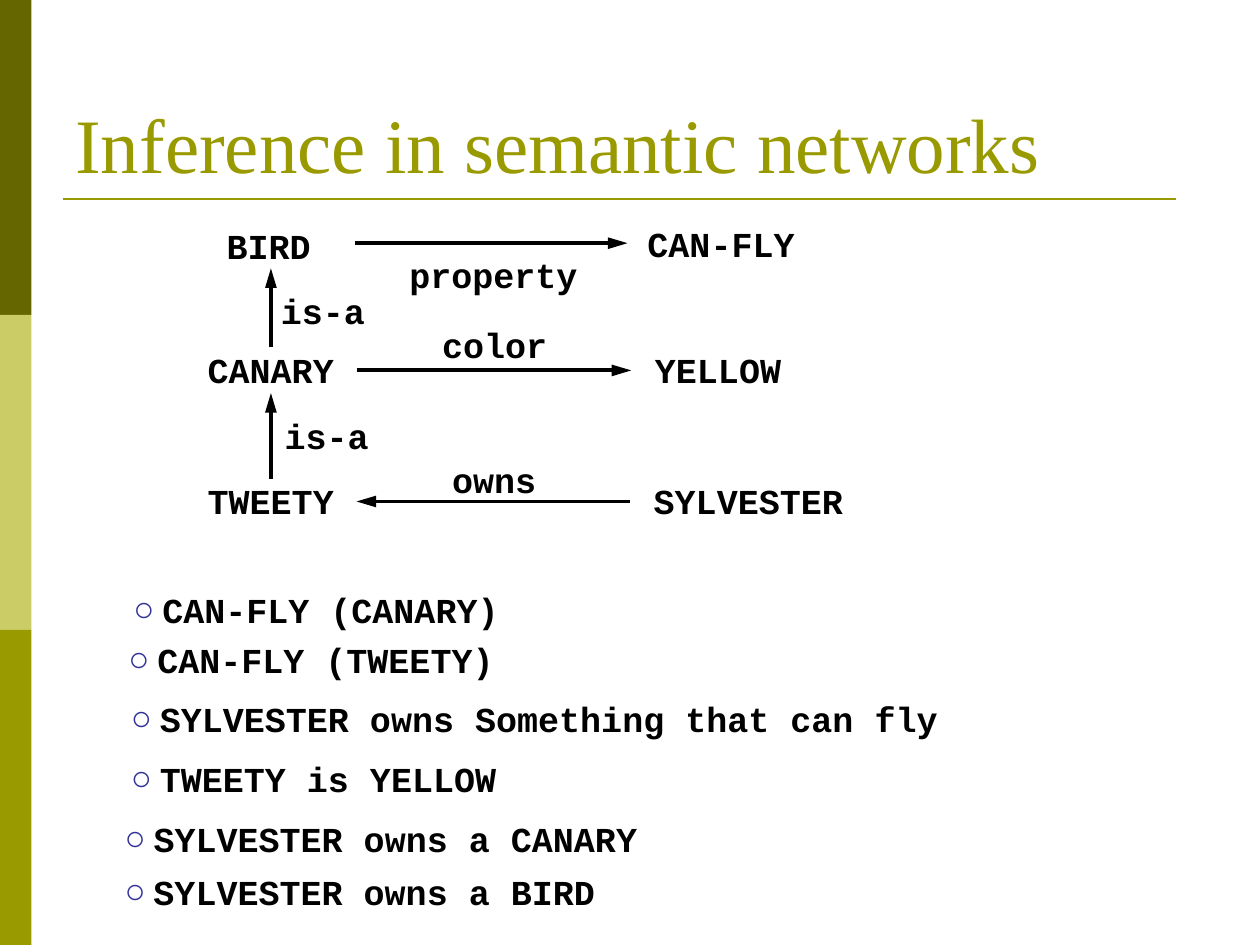
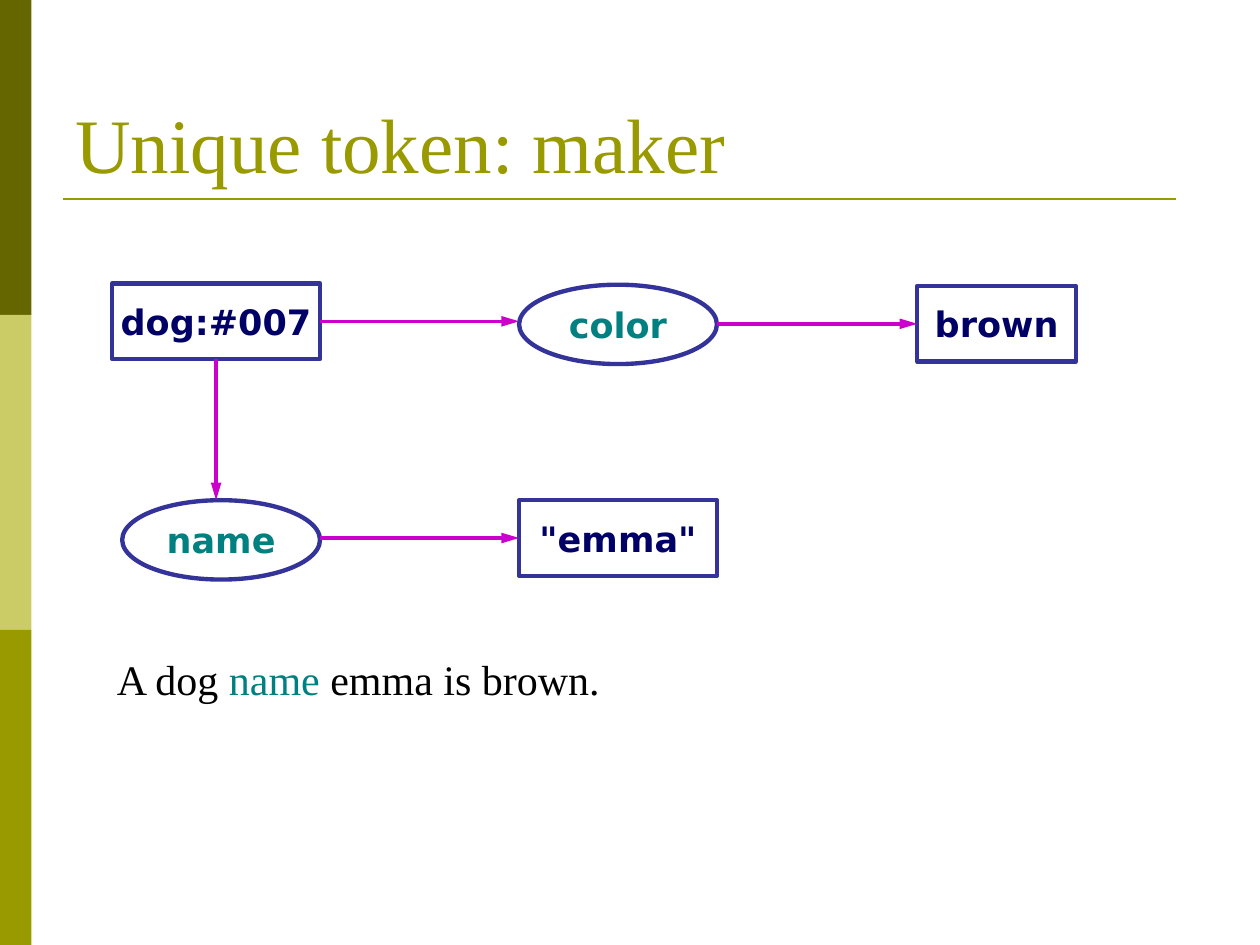
from dataclasses import dataclass

from lxml import etree
from pptx import Presentation
from pptx.dml.color import RGBColor
from pptx.enum.shapes import MSO_CONNECTOR as Connector, MSO_SHAPE as Preset
from pptx.enum.text import MSO_ANCHOR as Anchor, PP_ALIGN as Align
from pptx.oxml.ns import qn
from pptx.util import Inches, Pt

COLORS = {
    "olive": "999900",
    "dark olive": "666600",
    "light olive": "CCCC66",
    "black": "000000",
    "indigo": "333399",
    "navy": "000066",
    "teal": "008080",
    "magenta": "CC00CC",
}
SERIF, MONO, SANS = "Times New Roman", "Courier New", "DejaVu Sans"
BANDS = ("dark olive", "light olive", "olive")
BAND_HEIGHT = 2.5
LABEL_HEIGHT = 0.44
MONO_ADVANCE = 20 * 0.6 / 72  # one 20 pt character, in inches
BULLET_INDENT = 0.23


@dataclass(frozen=True)
class Label:
    text: str
    left: float
    top: float


@dataclass(frozen=True)
class Arrow:
    start: tuple[float, float]
    end: tuple[float, float]


@dataclass(frozen=True)
class Node:
    text: str
    left: float
    top: float
    width: float
    height: float = 0.6
    preset: int = Preset.RECTANGLE
    color: str = "navy"

    @property
    def middle(self) -> float:
        return self.top + self.height / 2

    @property
    def center(self) -> float:
        return self.left + self.width / 2

    @property
    def right(self) -> float:
        return self.left + self.width


NETWORK_LABELS = [
    Label("BIRD", 1.7, 1.73),
    Label("CAN-FLY", 5.04, 1.72),
    Label("property", 3.15, 1.96),
    Label("is-a", 2.13, 2.25),
    Label("CANARY", 1.55, 2.72),
    Label("color", 3.41, 2.52),
    Label("YELLOW", 5.1, 2.72),
    Label("is-a", 2.16, 3.24),
    Label("TWEETY", 1.55, 3.76),
    Label("owns", 3.49, 3.59),
    Label("SYLVESTER", 5.09, 3.76),
]
NETWORK_ARROWS = [
    Arrow((2.82, 1.93), (4.98, 1.93)),
    Arrow((2.83, 2.94), (5.01, 2.94)),
    Arrow((5, 3.98), (2.83, 3.98)),
    Arrow((2.15, 2.75), (2.15, 2.13)),
    Arrow((2.15, 3.8), (2.15, 3.12)),
]
INFERENCES = [
    Label("CAN-FLY (CANARY)", 0.96, 4.62),
    Label("CAN-FLY (TWEETY)", 0.92, 5.02),
    Label("SYLVESTER owns Something that can fly", 0.94, 5.49),
    Label("TWEETY is YELLOW", 0.94, 5.96),
    Label("SYLVESTER owns a CANARY", 0.89, 6.44),
    Label("SYLVESTER owns a BIRD", 0.89, 6.86),
]

DOG = Node("dog:#007", 0.89, 2.25, 1.65)
COLOR = Node("color", 4.12, 2.26, 1.57, 0.63, Preset.OVAL, "teal")
BROWN = Node("brown", 7.28, 2.27, 1.26)
NAME = Node("name", 0.97, 3.97, 1.57, 0.63, Preset.OVAL, "teal")
EMMA = Node('"emma"', 4.12, 3.97, 1.57)


def rgb(color: str) -> RGBColor:
    return RGBColor.from_string(COLORS[color])


def write(paragraph, text: str, *, font: str = MONO, size: float = 20,
          color: str = "black", bold: bool = False) -> None:
    """Append a formatted run to the paragraph."""
    run = paragraph.add_run()
    run.text = text
    run.font.name = font
    run.font.size = Pt(size)
    run.font.bold = bold
    run.font.color.rgb = rgb(color)


def add_textbox(slide, left: float, top: float, width: float,
                height: float = LABEL_HEIGHT, *, wrap: bool = False,
                anchor=Anchor.TOP):
    """Add an empty text box and return its first paragraph."""
    frame = slide.shapes.add_textbox(
        Inches(left), Inches(top), Inches(width), Inches(height)).text_frame
    frame.word_wrap = wrap
    frame.vertical_anchor = anchor
    return frame.paragraphs[0]


def add_line(slide, start: tuple[float, float], end: tuple[float, float],
             color: str, weight: float, arrowhead: bool = True):
    points = [Inches(value) for value in (*start, *end)]
    line = slide.shapes.add_connector(Connector.STRAIGHT, *points)
    line.line.color.rgb = rgb(color)
    line.line.width = Pt(weight)
    if arrowhead:
        etree.SubElement(line.line._get_or_add_ln(), qn("a:tailEnd"),
                         type="triangle", w="med", len="lg")
    etree.SubElement(line._element.spPr, qn("a:effectLst"))
    return line


def add_base_slide(presentation, title: str):
    """Add a slide with the side bands, the rule and its title."""
    slide = presentation.slides.add_slide(presentation.slide_layouts[6])
    for index, color in enumerate(BANDS):
        band = slide.shapes.add_shape(
            Preset.RECTANGLE, 0, Inches(index * BAND_HEIGHT),
            Inches(0.25), Inches(BAND_HEIGHT))
        band.shadow.inherit = False
        band.fill.solid()
        band.fill.fore_color.rgb = rgb(color)
        band.line.fill.background()
    add_line(slide, (0.5, 1.58), (9.33, 1.58), "olive", 1.5, arrowhead=False)
    paragraph = add_textbox(slide, 0.5, 0.3, 9, 1.25,
                            wrap=True, anchor=Anchor.BOTTOM)
    write(paragraph, title, font=SERIF, size=44, color="olive")
    return slide


def add_label(slide, label: Label, extra_width: float = 0):
    width = len(label.text) * MONO_ADVANCE + 0.2 + extra_width
    paragraph = add_textbox(slide, label.left, label.top, width)
    write(paragraph, label.text, bold=True)
    return paragraph


def add_bullet(paragraph) -> None:
    properties = paragraph._p.get_or_add_pPr()
    indent = Inches(BULLET_INDENT)
    properties.set("marL", str(indent))
    properties.set("indent", str(-indent))
    bullet_color = etree.SubElement(properties, qn("a:buClr"))
    etree.SubElement(bullet_color, qn("a:srgbClr"), val=COLORS["indigo"])
    etree.SubElement(properties, qn("a:buFont"), typeface="Arial")
    etree.SubElement(properties, qn("a:buChar"), char="○")


def add_node(slide, node: Node):
    shape = slide.shapes.add_shape(
        node.preset, Inches(node.left), Inches(node.top),
        Inches(node.width), Inches(node.height))
    shape.shadow.inherit = False
    shape.fill.background()
    shape.line.color.rgb = rgb("indigo")
    shape.line.width = Pt(2.5)
    frame = shape.text_frame
    frame.margin_left = frame.margin_right = 0
    frame.word_wrap = False
    frame.vertical_anchor = Anchor.MIDDLE
    paragraph = frame.paragraphs[0]
    paragraph.alignment = Align.CENTER
    write(paragraph, node.text, font=SANS, color=node.color, bold=True)
    return shape


def build_inference_slide(presentation) -> None:
    slide = add_base_slide(presentation, "Inference in semantic networks")
    for label in NETWORK_LABELS:
        add_label(slide, label)
    for arrow in NETWORK_ARROWS:
        add_line(slide, arrow.start, arrow.end, "black", 2.25)
    for inference in INFERENCES:
        add_bullet(add_label(slide, inference, BULLET_INDENT + 0.1))


def build_token_slide(presentation) -> None:
    slide = add_base_slide(presentation, "Unique token: maker")
    dog, _, brown, _, emma = [
        add_node(slide, node) for node in (DOG, COLOR, BROWN, NAME, EMMA)]

    def link(start: tuple[float, float], end: tuple[float, float]):
        return add_line(slide, start, end, "magenta", 2)

    link((DOG.right, DOG.middle),
         (COLOR.left, DOG.middle)).begin_connect(dog, 3)
    link((DOG.center, DOG.top + DOG.height),
         (DOG.center, NAME.top)).begin_connect(dog, 2)
    link((COLOR.right, BROWN.middle),
         (BROWN.left, BROWN.middle)).end_connect(brown, 1)
    link((NAME.right, EMMA.middle),
         (EMMA.left, EMMA.middle)).end_connect(emma, 1)

    sentence = add_textbox(slide, 0.83, 5.14, 4.72, 0.5, wrap=True)
    for text, color in (("A dog ", "black"), ("name", "teal"),
                        (" emma is brown.", "black")):
        write(sentence, text, font=SERIF, size=24, color=color)


def main() -> None:
    presentation = Presentation()
    presentation.slide_width = Inches(10)
    presentation.slide_height = Inches(7.5)
    build_inference_slide(presentation)
    build_token_slide(presentation)
    presentation.save("out.pptx")


if __name__ == "__main__":
    main()
